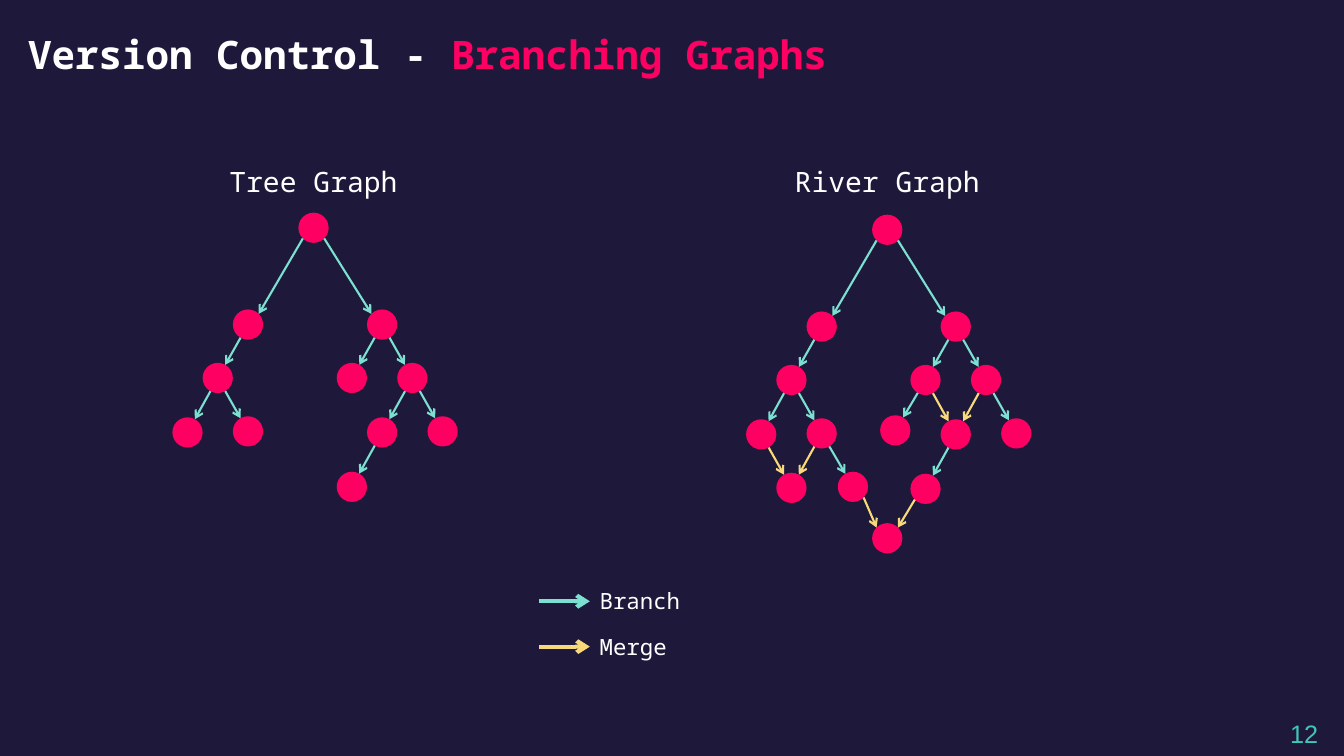
from math import hypot

from pptx import Presentation
from pptx.dml.color import RGBColor
from pptx.enum.shapes import MSO_CONNECTOR, MSO_SHAPE
from pptx.enum.text import MSO_ANCHOR, PP_ALIGN
from pptx.oxml.xmlchemy import OxmlElement
from pptx.util import Inches, Pt

STRAIGHT = MSO_CONNECTOR.STRAIGHT
OVAL = MSO_SHAPE.OVAL
MIDDLE = MSO_ANCHOR.MIDDLE
LEFT, CENTER = PP_ALIGN.LEFT, PP_ALIGN.CENTER

NAVY = RGBColor(0x1E, 0x19, 0x3B)
PINK = RGBColor(0xFD, 0x00, 0x62)
WHITE = RGBColor(0xFF, 0xFF, 0xFF)
MINT = RGBColor(0x7C, 0xE0, 0xD1)
YELLOW = RGBColor(0xF7, 0xD9, 0x7B)
TEAL = RGBColor(0x40, 0xC7, 0xB7)
MONO = "Noto Sans Mono"

TITLE = [("Version Control - ", WHITE), ("Branching Graphs", PINK)]
PAGE = "12"
HEADINGS = [("Tree Graph", 2.04, 2.14), ("River Graph", 7.64, 2.32)]
LEGEND = [("Branch", MINT, 5.78), ("Merge", YELLOW, 6.23)]

NODE_SIZE = 0.3
TREE_NODES = {
    "root": (2.96, 2.11),
    "A": (2.31, 3.07), "B": (3.64, 3.07),
    "C": (2.01, 3.6), "D": (3.34, 3.6), "E": (3.94, 3.6),
    "F": (1.71, 4.14), "G": (2.31, 4.13), "H": (3.64, 4.14), "J": (4.24, 4.13),
    "K": (3.34, 4.68),
}
RIVER_NODES = TREE_NODES | {
    "L": (3.04, 4.1), "M": (2.01, 4.67), "N": (2.62, 4.66), "mouth": (2.96, 5.17),
}
TREE_BRANCHES = [("root", "A"), ("root", "B"), ("A", "C"), ("C", "F"), ("C", "G"),
                 ("B", "D"), ("B", "E"), ("E", "H"), ("E", "J"), ("H", "K")]
RIVER_MERGES = [("E", "H"), ("D", "H"), ("G", "M"), ("F", "M"),
                ("N", "mouth"), ("K", "mouth")]
RIVER_BRANCHES = [edge for edge in TREE_BRANCHES if edge not in RIVER_MERGES]
RIVER_BRANCHES += [("D", "L"), ("G", "N")]
GRAPHS = [
    (TREE_NODES, TREE_BRANCHES, [], 0, 0),
    (RIVER_NODES, RIVER_BRANCHES, RIVER_MERGES, 5.69, 0.02),
]
DIAGONAL_ENDS = {"root", "mouth"}


def add_text(slide, text, box, size, color, font=MONO, align=LEFT):
    """Add a one-line text box."""
    label = slide.shapes.add_textbox(*map(Inches, box))
    frame = label.text_frame
    frame.word_wrap = True
    frame.text = text
    line = frame.paragraphs[0]
    line.alignment = align
    line.font.name, line.font.size = font, Pt(size)
    line.font.color.rgb = color
    return label


def add_arrow(shapes, start, end, color, width):
    """Add a straight line with an open arrowhead at its end."""
    arrow = shapes.add_connector(STRAIGHT, *map(Inches, (*start, *end)))
    arrow.line.color.rgb = color
    arrow.line.width = Pt(width)
    head = OxmlElement("a:tailEnd")
    head.set("type", "arrow")
    arrow.line._get_or_add_ln().append(head)
    arrow._element.spPr.append(OxmlElement("a:effectLst"))
    return arrow


def add_graph(slide, nodes, branches, merges, dx, dy):
    """Draw one graph as a group of nodes and the arrows between their rims."""
    shapes = slide.shapes.add_group_shape().shapes
    radius = NODE_SIZE / 2
    centers = {}
    for name, (x, y) in nodes.items():
        node = shapes.add_shape(OVAL, Inches(x + dx), Inches(y + dy),
                                Inches(NODE_SIZE), Inches(NODE_SIZE))
        node.shadow.inherit = False
        node.fill.solid()
        node.fill.fore_color.rgb = PINK
        node.line.fill.background()
        centers[name] = (x + dx + radius, y + dy + radius)

    for edges, color in ((branches, MINT), (merges, YELLOW)):
        for parent, child in edges:
            (x1, y1), (x2, y2) = centers[parent], centers[child]
            run, rise = x2 - x1, y2 - y1
            if DIAGONAL_ENDS & {parent, child}:
                run = rise if run > 0 else -rise
            scale = radius / hypot(run, rise)
            ox, oy = run * scale, rise * scale
            add_arrow(shapes, (x1 + ox, y1 + oy), (x2 - ox, y2 - oy), color, 1.5)


def main():
    """Build the branching graphs slide."""
    prs = Presentation()
    prs.slide_width, prs.slide_height = Inches(13.33), Inches(7.5)
    slide = prs.slides.add_slide(prs.slide_layouts[5])
    slide.background.fill.solid()
    slide.background.fill.fore_color.rgb = NAVY

    title = slide.shapes.title
    title.left, title.top = Inches(0.18), Inches(0.19)
    title.width, title.height = Inches(12.97), Inches(0.75)
    title.text_frame.vertical_anchor = MIDDLE
    heading = title.text_frame.paragraphs[0]
    heading.alignment = LEFT
    heading.line_spacing = 0.9
    for text, color in TITLE:
        run = heading.add_run()
        run.text = text
        run.font.name, run.font.size, run.font.bold = MONO, Pt(28), True
        run.font.color.rgb = color

    for graph in GRAPHS:
        add_graph(slide, *graph)
    for text, left, width in HEADINGS:
        add_text(slide, text, (left, 1.58, width, 0.44), 20, WHITE, align=CENTER)

    for text, color, top in LEGEND:
        label = add_text(slide, text, (5.85, top, 1.64, 0.37), 16, WHITE)
        middle = top + 0.185
        arrow = add_arrow(slide.shapes, (5.35, middle), (5.85, middle), color, 3)
        arrow.end_connect(label, 1)

    page = add_text(slide, PAGE, (12.53, 7.08, 0.81, 0.4), 18, TEAL, "Arial", CENTER)
    page.text_frame.vertical_anchor = MIDDLE
    prs.save("out.pptx")


if __name__ == "__main__":
    main()
